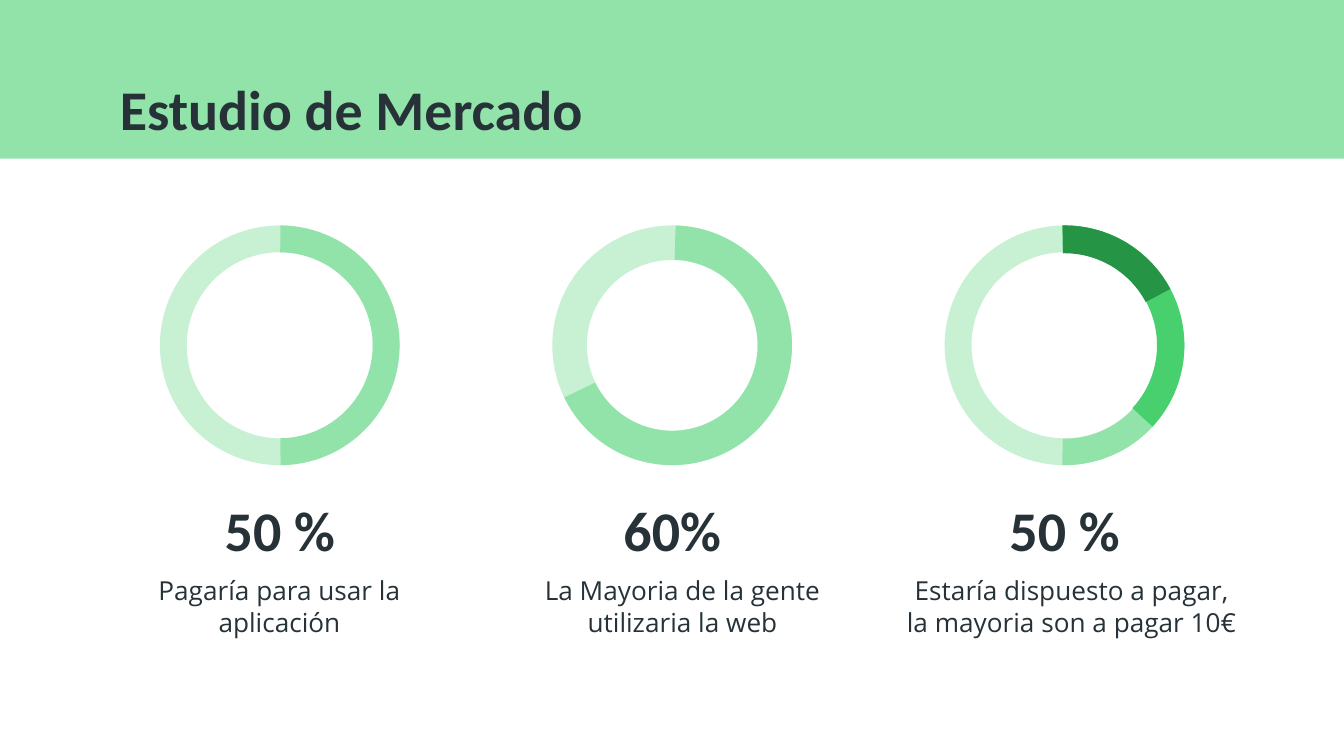
from dataclasses import dataclass

from pptx import Presentation
from pptx.dml.color import RGBColor as Rgb
from pptx.enum.shapes import MSO_SHAPE as Shape
from pptx.enum.text import MSO_ANCHOR as Anchor
from pptx.enum.text import MSO_AUTO_SIZE as AutoSize
from pptx.enum.text import PP_ALIGN as Align
from pptx.util import Pt


@dataclass(frozen=True)
class Theme:
    ink: str = "263238"
    pale: str = "C8F1D4"
    mint: str = "92E3A9"
    bright: str = "48D06E"
    deep: str = "269445"
    heading_font: str = "Calibri"
    body_font: str = "Open Sans"
    heading_size: float = 30
    body_size: float = 14
    inset: float = 7.2


class SlideBuilder:
    """Holds the theme and the current slide; boxes are (left, top, width, height) in points."""

    def __init__(self, slide, theme):
        self.slide = slide
        self.theme = theme

    def fill_text(self, frame, text, heading, align):
        theme = self.theme
        frame_format = {
            "word_wrap": True,
            "auto_size": AutoSize.NONE,
            "vertical_anchor": Anchor.MIDDLE,
            **{f"margin_{side}": Pt(theme.inset)
               for side in ("left", "top", "right", "bottom")},
        }
        for name, value in frame_format.items():
            setattr(frame, name, value)
        paragraph = frame.paragraphs[0]
        paragraph.alignment = align
        run = paragraph.add_run()
        run.text = text
        font_format = {
            "name": theme.heading_font if heading else theme.body_font,
            "size": Pt(theme.heading_size if heading else theme.body_size),
            "bold": heading,
        }
        for name, value in font_format.items():
            setattr(run.font, name, value)
        run.font.color.rgb = Rgb.from_string(theme.ink)

    def title(self, text, box):
        heading = self.slide.shapes.title
        for name, value in zip(("left", "top", "width", "height"), box):
            setattr(heading, name, Pt(value))
        self.fill_text(heading.text_frame, text, True, Align.LEFT)

    def text(self, text, box, heading=False):
        label = self.slide.shapes.add_textbox(*map(Pt, box))
        self.fill_text(label.text_frame, text, heading, Align.CENTER)

    def shape(self, kind, box, color, adjustments=()):
        figure = self.slide.shapes.add_shape(kind, *map(Pt, box))
        figure.shadow.inherit = False
        figure.fill.solid()
        figure.fill.fore_color.rgb = Rgb.from_string(color)
        figure.line.fill.background()
        for index, value in enumerate(adjustments):
            figure.adjustments[index] = value
        return figure

    def band(self, box, color):
        band = self.shape(Shape.RECTANGLE, box, color)
        # Behind the title placeholder
        band.element.getparent().insert(2, band.element)

    def ring(self, box, thickness, arcs):
        self.shape(Shape.DONUT, box, self.theme.pale, [thickness])
        for color, start, end, arc_thickness in arcs:
            # Adjustment units: 0.6 per degree, clockwise from the right
            self.shape(Shape.BLOCK_ARC, box, color,
                       [start * 0.6, end * 0.6, arc_thickness])


def main():
    theme = Theme()
    deck = Presentation()
    deck.slide_width, deck.slide_height = Pt(720), Pt(405)
    page = SlideBuilder(deck.slides.add_slide(deck.slide_layouts[5]), theme)

    # Header
    page.band((0, 0, 720, 85), theme.mint)
    page.title("Estudio de Mercado", (57, 35.3, 607, 45.4))

    # Survey results: figure, caption, caption left and width, ring thickness,
    # arcs as (color, start degree, end degree, thickness)
    results = [
        ("50 %", "Pagaría para usar la aplicación", 57.6, 184.3, 0.112,
         [(theme.mint, 270.3, 89.59, 0.112)]),
        ("60%", "La Mayoria de la gente utilizaria la web", 267.8, 195.8, 0.144,
         [(theme.mint, 271.66, 154.17, 0.143)]),
        ("50 %", "Estaría dispuesto a pagar, la mayoria son a pagar 10€",
         478.1, 192.2, 0.112,
         [(theme.mint, 270.3, 91.07, 0.11),
          (theme.bright, 269.01, 42.72, 0.114),
          (theme.deep, 269.1, 331.95, 0.116)]),
    ]
    column_left, column_width, pitch, ring_size = 57, 185.8, 210.2, 128.4
    for index, (figure, caption, left, width, thickness, arcs) in enumerate(results):
        column = column_left + index * pitch
        ring_left = column + (column_width - ring_size) / 2
        page.ring((ring_left, 120.8, ring_size, ring_size), thickness, arcs)
        page.text(figure, (column, 265.7, column_width, 36), heading=True)
        page.text(caption, (left, 306.7, width, 36))

    deck.save("out.pptx")


if __name__ == "__main__":
    main()
